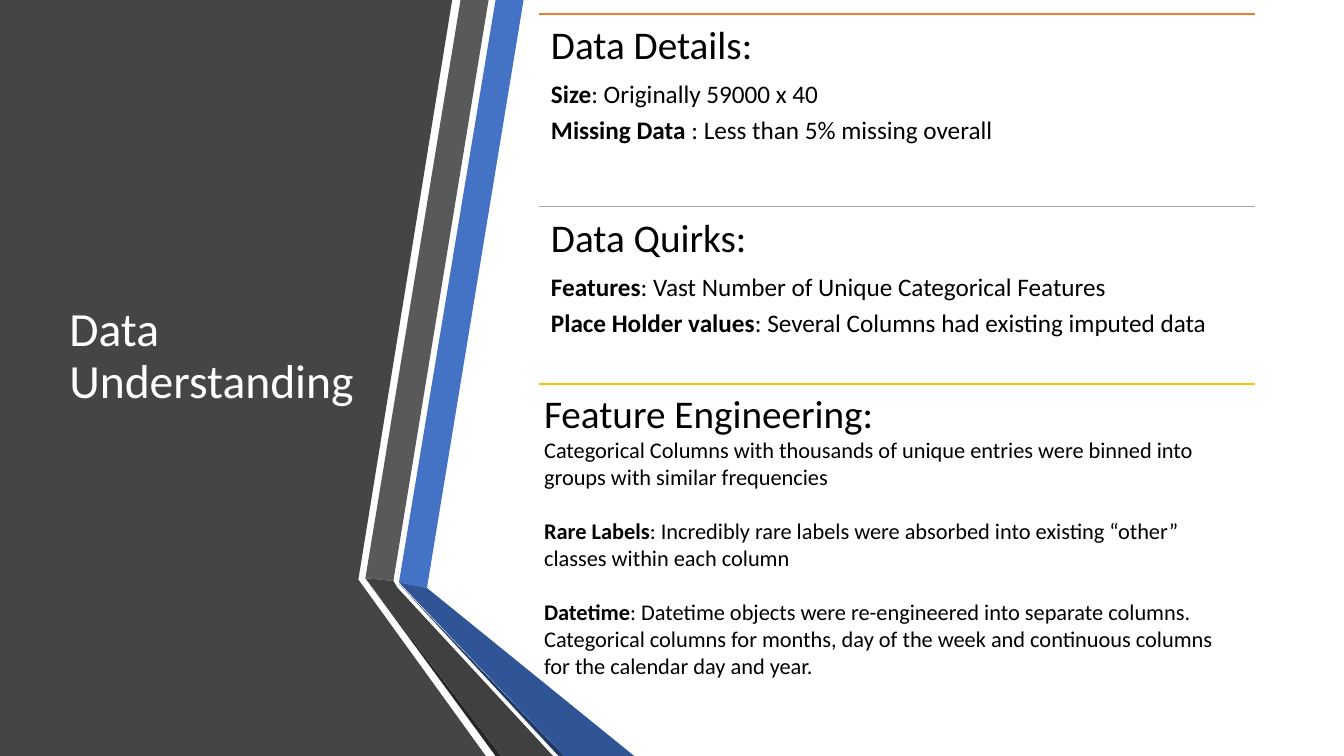
"""Build the Data Understanding slide: angled dark panel and three ruled text sections."""
from lxml import etree
from pptx import Presentation
from pptx.dml.color import RGBColor
from pptx.enum.shapes import MSO_CONNECTOR
from pptx.enum.text import MSO_ANCHOR
from pptx.oxml.ns import qn
from pptx.util import Pt

STRAIGHT = MSO_CONNECTOR.STRAIGHT
MIDDLE = MSO_ANCHOR.MIDDLE
TOP = MSO_ANCHOR.TOP


def color(hex_string):
    """Turn a hex string into a colour."""
    return RGBColor.from_string(hex_string)


def add_text(page, place, paragraphs, inset=(7.2, 3.6), anchor=TOP, spacing=1.0):
    """Add a box of (bold text, plain text, size, colour, space after) paragraphs."""
    box = page.shapes.add_textbox(*[Pt(length) for length in place])
    frame = box.text_frame
    frame.word_wrap = True
    frame.vertical_anchor = anchor
    frame.margin_left = frame.margin_right = Pt(inset[0])
    frame.margin_top = frame.margin_bottom = Pt(inset[1])
    for index, (label, text, size, ink, after) in enumerate(paragraphs):
        para = frame.paragraphs[0] if index == 0 else frame.add_paragraph()
        para.line_spacing = spacing
        para.space_after = Pt(after)
        para.text = label or text
        para.runs[0].font.bold = bool(label)
        if label:
            para.add_run().text = text
        for span in para.runs:
            span.font.name = "Calibri"
            span.font.size = Pt(size)
            span.font.color.rgb = color(ink)


deck = Presentation()
deck.slide_width, deck.slide_height = Pt(960), Pt(540)
page = deck.slides.add_slide(deck.slide_layouts[6])

bands = [
    ("454545", [(0, 0), (323.3, 0), (256.3, 414.4), (347, 540), (0, 540)]),
    ("4472C4", [(285.1, 416.2), (304.6, 419.8), (373.7, 0), (353.5, 0)]),
    ("595959", [(349.2, 0), (329, 0), (261.4, 412.6), (280.8, 415.4)]),
    ("262626", [(261.4, 412.6), (353.5, 540), (357.8, 540)]),
    ("203864", [(285.1, 416.9), (398.9, 540), (403.2, 540)]),
    ("2F5597", [(285.1, 416.2), (403.2, 540), (452.9, 540), (304.6, 419.8)]),
    ("404040", [(394.6, 540), (284.4, 419.8), (280.8, 415.4), (261.4, 412.6), (357.8, 540)]),
]
for fill, corners in bands:
    outline = page.shapes.build_freeform(*corners[0], scale=Pt(1))
    outline.add_line_segments(corners[1:], close=True)
    band = outline.convert_to_shape()
    band.shadow.inherit = False
    band.fill.solid()
    band.fill.fore_color.rgb = color(fill)
    band.line.fill.background()

add_text(page, (42.5, 54, 218.9, 401.8),
         [("", "Data Understanding", 34, "FFFFFF", 0)], anchor=MIDDLE, spacing=0.9)

left, width = 385.2, 511.2
for top, ink in [(10.1, "ED7D31"), (147.6, "A5A5A5"), (274.3, "FFC000")]:
    rule = page.shapes.add_connector(STRAIGHT, Pt(left), Pt(top), Pt(left + width), Pt(top))
    rule.line.color.rgb = color(ink)
    rule.line.width = Pt(1)
    etree.SubElement(rule._element.spPr, qn("a:effectLst"))

sections = [
    (10.1, 137.5, "Data Details:", [
        ("Size", ": Originally 59000 x 40"),
        ("Missing Data", " : Less than 5% missing overall")]),
    (147.6, 126.7, "Data Quirks:", [
        ("Features", ": Vast Number of Unique Categorical Features"),
        ("Place Holder values", ": Several Columns had existing imputed data")]),
]
for top, height, heading, facts in sections:
    paragraphs = [("", heading, 28, "000000", 9.8)]
    paragraphs += [(label, text, 18, "000000", 6.3) for label, text in facts]
    add_text(page, (left, top, width, height), paragraphs, inset=(8.4, 8.4), spacing=0.9)

steps = [
    ("", "Categorical Columns with thousands of unique entries were binned into "
         "groups with similar frequencies"),
    ("Rare Labels", ": Incredibly rare labels were absorbed into existing “other” "
                    "classes within each column"),
    ("Datetime", ": Datetime objects were re-engineered into separate columns. "
                 "Categorical columns for months, day of the week and continuous columns "
                 "for the calendar day and year."),
]
paragraphs = [("", "Feature Engineering:", 28, "000000", 0)]
paragraphs += [(label, text, 16, "000000", 19.5) for label, text in steps]
add_text(page, (381.6, 274.3, width, 216), paragraphs)

deck.save("out.pptx")
